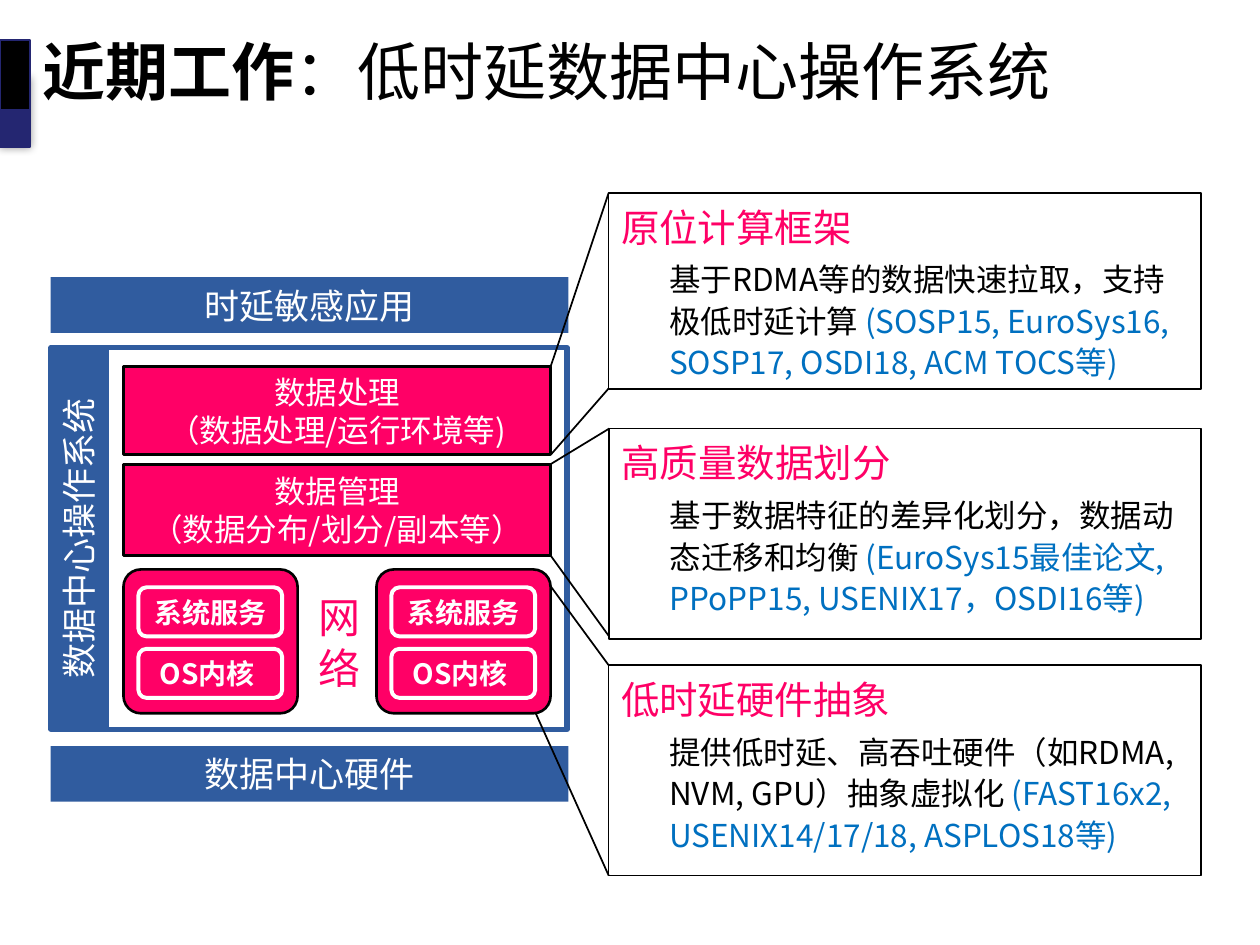
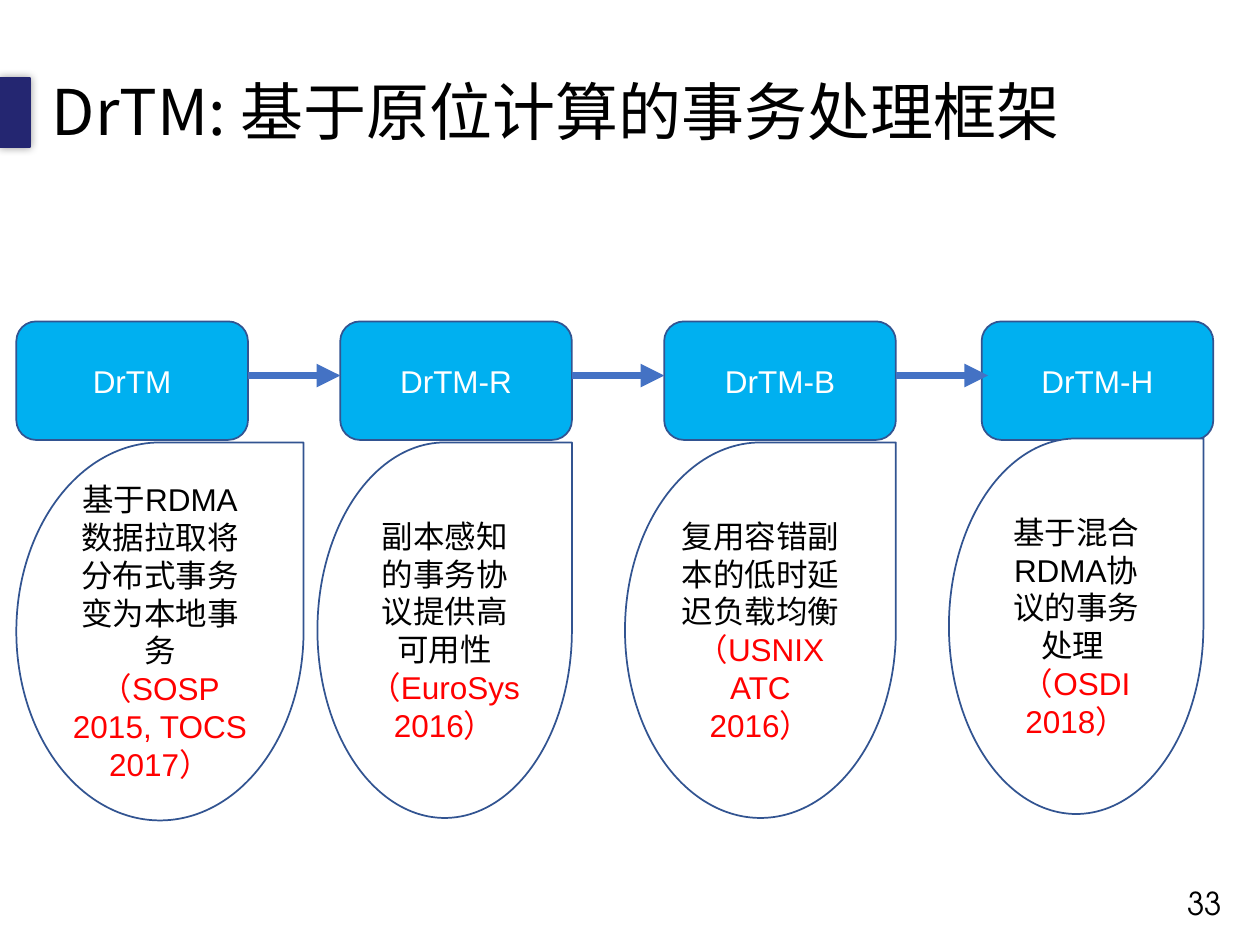
from dataclasses import dataclass

from lxml import etree
from pptx import Presentation
from pptx.dml.color import RGBColor
from pptx.enum.shapes import MSO_CONNECTOR, MSO_SHAPE
from pptx.enum.text import MSO_ANCHOR, MSO_AUTO_SIZE, PP_ALIGN
from pptx.oxml import parse_xml
from pptx.oxml.ns import nsdecls, qn
from pptx.util import Cm, Pt

RECT = MSO_SHAPE.RECTANGLE
ROUND = MSO_SHAPE.ROUNDED_RECTANGLE
TEAR = MSO_SHAPE.TEAR
LINE = MSO_CONNECTOR.STRAIGHT
TOP, MID = MSO_ANCHOR.TOP, MSO_ANCHOR.MIDDLE
LEFT, CENTER, RIGHT = PP_ALIGN.LEFT, PP_ALIGN.CENTER, PP_ALIGN.RIGHT
FIXED = MSO_AUTO_SIZE.NONE

HAN, SANS, NUM = "Noto Sans CJK SC", "Arial", "TeX Gyre Adventor"
BLACK, WHITE, NAVY, BLUE = "000000", "FFFFFF", "242671", "305C9F"
PINK, CITE, RED = "FF0066", "0070C0", "FF0000"
SKY, EDGE, ARROW = "00B0F0", "325491", "4472C4"


@dataclass
class Box:
    x: float
    y: float
    w: float
    h: float

    def place(self) -> tuple:
        return Cm(self.x), Cm(self.y), Cm(self.w), Cm(self.h)


@dataclass
class Font:
    size: float
    color: str = WHITE
    name: str = HAN
    bold: bool = False


@dataclass
class Panel:
    box: Box
    head: str
    body: str
    cite: str
    top: tuple  # where the upper link starts
    low: tuple  # where the lower link starts
    end: float  # height at which the lower link ends


@dataclass
class Stage:
    name: str
    x: float
    drop: Box
    text: str
    cite: str


def paint(color: str) -> RGBColor:
    return RGBColor.from_string(color)


# Text
def style(run, font: Font) -> None:
    run.font.size, run.font.bold = Pt(font.size), font.bold
    run.font.name = font.name
    run.font.color.rgb = paint(font.color)
    east = etree.SubElement(run.font._element, qn("a:ea"))
    east.set("typeface", HAN)


def add_run(para, text: str, font: Font) -> None:
    run = para.add_run()
    run.text = text
    style(run, font)


def set_text(shape, text: str, font: Font, align=CENTER) -> None:
    frame = shape.text_frame
    frame.word_wrap, frame.vertical_anchor = True, MID
    para = frame.paragraphs[0]
    para.text, para.alignment = text, align
    for run in para.runs:
        style(run, font)


# Shapes
def add_box(slide, box: Box, kind=RECT, fill: str = "", line: str = "",
            width: float = 1):
    shape = slide.shapes.add_shape(kind, *box.place())
    shape.shadow.inherit = False
    if fill:
        shape.fill.solid()
        shape.fill.fore_color.rgb = paint(fill)
    else:
        shape.fill.background()
    if line:
        shape.line.color.rgb = paint(line)
        shape.line.width = Pt(width)
    else:
        shape.line.fill.background()
    return shape


def add_line(slide, start: tuple, end: tuple, color: str, width: float,
             arrow: bool = False) -> None:
    link = slide.shapes.add_connector(
        LINE, *(Cm(n) for n in start + end))
    link.line.color.rgb = paint(color)
    link.line.width = Pt(width)
    if arrow:
        tip = etree.SubElement(link.line._get_or_add_ln(), qn("a:tailEnd"))
        tip.set("type", "triangle")
    etree.SubElement(link._element.spPr, qn("a:effectLst"))


# Shared slide base: navy mark with a soft shadow, and the title
def add_slide(deck, box: Box, parts: list):
    slide = deck.slides.add_slide(deck.slide_layouts[5])
    mark = add_box(slide, Box(0, 1.57, 0.61, 1.4), fill=NAVY, line=NAVY)
    glow = parse_xml(
        f'<a:outerShdw {nsdecls("a")} blurRad="63500" dist="0">'
        '<a:srgbClr val="000000"><a:alpha val="40000"/></a:srgbClr>'
        '</a:outerShdw>')
    mark._element.spPr.find(qn("a:effectLst")).append(glow)
    title = slide.shapes.title
    title.left, title.top, title.width, title.height = box.place()
    frame = title.text_frame
    frame.auto_size, frame.vertical_anchor = FIXED, MID
    para = frame.paragraphs[0]
    para.alignment, para.line_spacing = LEFT, 0.9
    for text, bold in parts:
        add_run(para, text, Font(36, BLACK, bold=bold))
    return slide


# Slide 1 parts
def add_node(slide, x: float) -> None:
    y = 11.48
    outer = add_box(slide, Box(x, y, 3.51, 2.9), ROUND, PINK, BLACK, 1.5)
    outer.adjustments[0] = 0.12
    for text, gap in (("系统服务", 0.36), ("OS内核 ", 1.6)):
        cell = add_box(slide, Box(x + 0.3, y + gap, 2.9, 0.99), ROUND,
                       PINK, WHITE, 2.25)
        set_text(cell, text, Font(16, bold=True))


def add_panel(slide, panel: Panel) -> None:
    box = panel.box
    frame = add_box(slide, box, fill=WHITE, line=BLACK).text_frame
    frame.word_wrap, frame.vertical_anchor = True, TOP
    frame.margin_bottom = Cm(0.2)
    head = frame.paragraphs[0]
    add_run(head, panel.head, Font(22, PINK))
    body = frame.add_paragraph()
    body.level, body.space_before = 1, Pt(3.8)
    props = body._p.get_or_add_pPr()
    props.set("marL", str(Cm(0.97)))
    props.set("indent", "0")
    add_run(body, panel.body, Font(18, BLACK))
    add_run(body, panel.cite, Font(18, CITE))
    for para in (head, body):
        para.alignment, para.line_spacing = LEFT, 1.1
    add_line(slide, panel.top, (box.x, box.y), BLACK, 1)
    add_line(slide, panel.low, (box.x, panel.end), BLACK, 1)


PANELS = [
    Panel(Box(12.27, 3.89, 11.94, 3.96), "原位计算框架",
          "基于RDMA等的数据快速拉取，支持极低时延计算 ",
          "(SOSP15, EuroSys16, SOSP17, OSDI18, ACM TOCS等)",
          (11.1, 7.39), (11.1, 9.17), 7.83),
    Panel(Box(12.28, 8.64, 11.94, 4.24), "高质量数据划分",
          "基于数据特征的差异化划分，数据动态迁移和均衡 ",
          "(EuroSys15最佳论文, PPoPP15, USENIX17，OSDI16等)",
          (11.08, 9.37), (11.1, 11.2), 12.83),
    Panel(Box(12.27, 13.41, 11.94, 4.24), "低时延硬件抽象",
          "提供低时延、高吞吐硬件（如RDMA, NVM, GPU）抽象虚拟化 ",
          "(FAST16x2, USENIX14/17/18, ASPLOS18等)",
          (11.08, 11.79), (10.8, 14.38), 17.65),
]


def draw_work(deck) -> None:
    slide = add_slide(deck, Box(0.61, 0.43, 24.79, 2.18),
                      [("近期工作", True), ("：低时延数据中心操作系统", False)])
    add_box(slide, Box(0, 0.81, 0.61, 1.4), fill=BLACK, line=NAVY)

    # Outer bands, frame and side label
    for text, y in (("时延敏感应用", 5.59), ("数据中心硬件", 15.04)):
        band = add_box(slide, Box(1.02, y, 10.44, 1.12), fill=BLUE)
        set_text(band, text, Font(20))
    add_box(slide, Box(2.13, 7.01, 9.3, 7.7), line=BLUE, width=3)
    side = add_box(slide, Box(-2.26, 10.29, 7.7, 1.12), fill=BLUE,
                   line=BLUE, width=3)
    side.rotation = 270
    set_text(side, "数据中心操作系统", Font(20))

    # Layers, nodes and the network between them
    for text, y, tall in (("数据处理\v（数据处理/运行环境等)", 7.39, 1.78),
                          ("数据管理\v（数据分布/划分/副本等）", 9.37, 1.83)):
        layer = add_box(slide, Box(2.49, y, 8.61, tall), fill=PINK,
                        line=BLACK, width=1.5)
        set_text(layer, text, Font(18))
    for x in (2.49, 7.59):
        add_node(slide, x)
    net = slide.shapes.add_textbox(*Box(6.17, 11.79, 1.14, 2.31).place())
    set_text(net, "网络", Font(24, PINK))

    for panel in PANELS:
        add_panel(slide, panel)


# Slide 2 parts
STAGES = [
    Stage("DrTM", 0.33, Box(0.33, 8.92, 5.79, 7.62),
          "基于RDMA数据拉取将分布式事务变为本地事务",
          "（SOSP 2015, TOCS 2017）"),
    Stage("DrTM-R", 6.86, Box(6.4, 8.92, 5.13, 7.57),
          "副本感知的事务协议提供高可用性", "（EuroSys 2016）"),
    Stage("DrTM-B", 13.39, Box(12.6, 8.92, 5.46, 7.57),
          "复用容错副本的低时延迟负载均衡", "（USNIX ATC 2016）"),
    Stage("DrTM-H", 19.79, Box(19.13, 8.84, 5.13, 7.57),
          "基于混合RDMA协议的事务处理 ", "（OSDI 2018）"),
]


def draw_stages(deck) -> None:
    slide = add_slide(deck, Box(0.79, 0.36, 24.61, 3.94),
                      [("DrTM: 基于原位计算的事务处理框架", False)])
    page = slide.shapes.add_textbox(*Box(23.09, 17.7, 1.8, 1.02).place())
    set_text(page, "33", Font(18, BLACK, NUM), RIGHT)

    wide = 4.67
    for stage in STAGES:
        card = add_box(slide, Box(stage.x, 6.48, wide, 2.39), ROUND, SKY, EDGE)
        set_text(card, stage.name, Font(18, name=SANS))
    for stage in STAGES[:-1]:
        x = stage.x + wide
        add_line(slide, (x, 7.57), (x + 1.86, 7.57), ARROW, 4.5, True)
    for stage in STAGES:
        drop = add_box(slide, stage.drop, TEAR, WHITE, EDGE)
        set_text(drop, stage.text, Font(18, BLACK, SANS))
        cite = drop.text_frame.add_paragraph()
        cite.alignment = CENTER
        add_run(cite, stage.cite, Font(18, RED, SANS))


def main() -> None:
    deck = Presentation()
    deck.slide_width, deck.slide_height = Cm(25.4), Cm(19.05)
    draw_work(deck)
    draw_stages(deck)
    deck.save("out.pptx")


if __name__ == "__main__":
    main()
